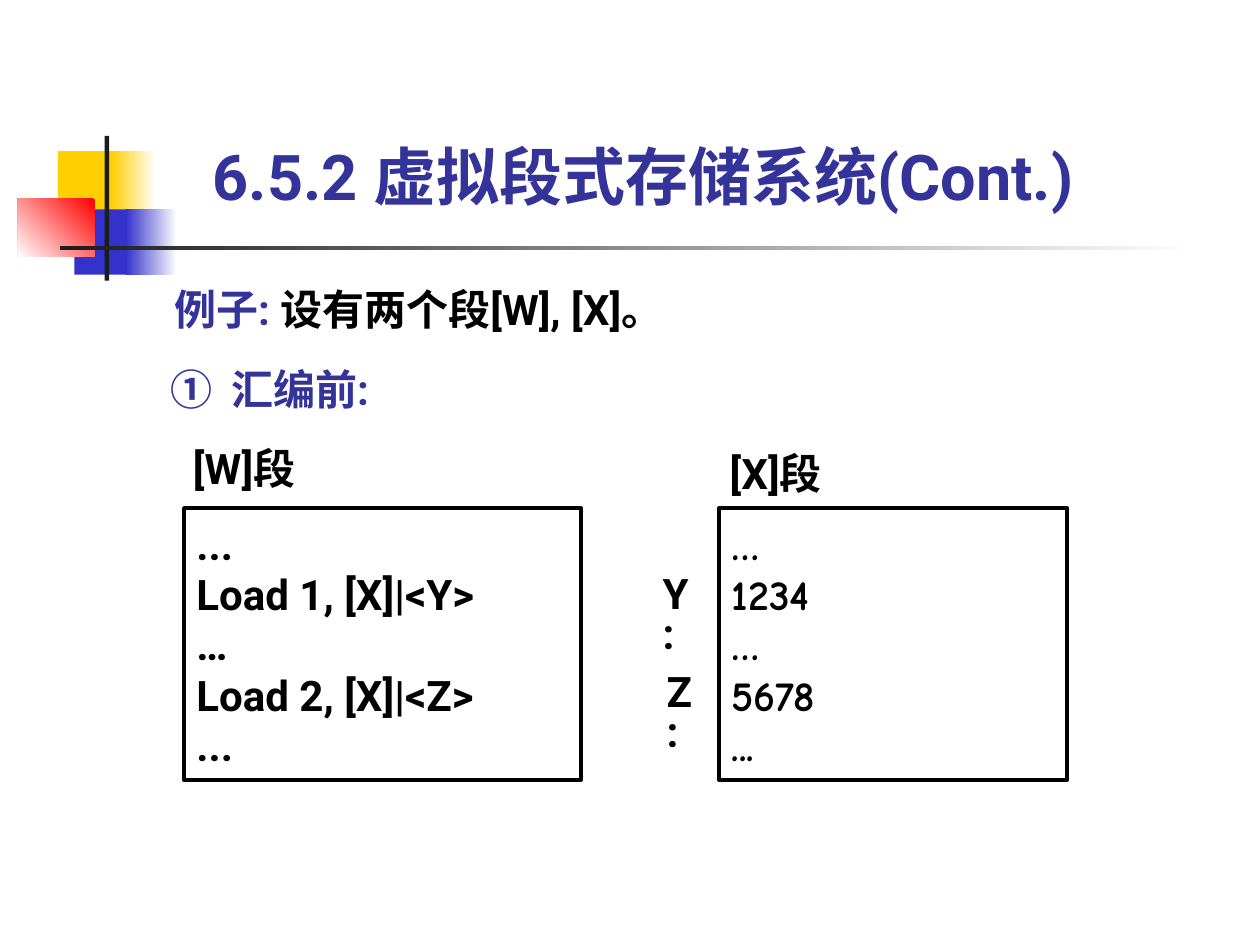
from lxml.etree import SubElement
from pptx import Presentation
from pptx.dml.color import RGBColor
from pptx.enum.shapes import MSO_SHAPE as Shape
from pptx.enum.text import MSO_ANCHOR as Anchor, PP_ALIGN as Align
from pptx.oxml.ns import qn
from pptx.util import Cm, Pt

WHITE = RGBColor(0xFF, 0xFF, 0xFF)
BLACK = RGBColor(0x00, 0x00, 0x00)
CHARCOAL = RGBColor(0x1C, 0x1C, 0x1C)
YELLOW = RGBColor(0xFF, 0xCF, 0x01)
BLUE = RGBColor(0x33, 0x33, 0xCC)
RED = RGBColor(0xFF, 0x00, 0x00)
INDIGO = RGBColor(0x33, 0x33, 0x99)

NO_MARGINS = dict(margin_left=0, margin_top=0, margin_right=0, margin_bottom=0)

prs = Presentation()
prs.slide_width, prs.slide_height = Cm(25.4), Cm(19.05)
slide = prs.slides.add_slide(prs.slide_layouts[5])


def set_all(target, values):
    for attribute, value in values.items():
        setattr(target, attribute, value)


def write(frame, lines, frame_format, size=24, font="Roboto", spacing=None):
    """Fill a text frame; each line is a list of (text, colour) runs."""
    set_all(frame, frame_format)
    for number, runs in enumerate(lines):
        paragraph = frame.add_paragraph() if number else frame.paragraphs[0]
        set_all(paragraph, dict(alignment=Align.LEFT, line_spacing=spacing))
        for text, colour in runs:
            run = paragraph.add_run()
            run.text = text
            set_all(run.font, dict(size=Pt(size), name=font, bold=True))
            run.font.color.rgb = colour


# Corner ornament: position, start colour, end colour, gradient angle
ornament = [
    ((1.17, 3.05, 1.22, 1.32), YELLOW, None, None),
    ((2.24, 3.05, 0.91, 1.32), WHITE, YELLOW, 180),
    ((1.5, 4.22, 1.17, 1.32), BLUE, None, None),
    ((2.54, 4.22, 1.02, 1.32), WHITE, BLUE, 180),
    ((0.36, 4.01, 1.55, 1.17), RED, WHITE, 225),
    ((2.11, 2.74, 0.09, 2.92), CHARCOAL, None, None),
    ((1.22, 4.95, 22.86, 0.09), WHITE, CHARCOAL, 180),
]
for place, start, end, angle in ornament:
    patch = slide.shapes.add_shape(Shape.RECTANGLE, *map(Cm, place))
    patch.shadow.inherit = False
    patch.line.fill.background()
    if end is None:
        patch.fill.solid()
        patch.fill.fore_color.rgb = start
    else:
        patch.fill.gradient()
        patch.fill.gradient_angle = angle
        for stop, colour, position in zip(patch.fill.gradient_stops, (start, end), (0, 1)):
            set_all(stop, dict(position=position))
            stop.color.rgb = colour

# Title
title = slide.shapes.title
set_all(title, dict(left=Cm(4.29), top=Cm(1.24), width=Cm(18.31), height=Cm(3.05)))
write(title.text_frame, [[("6.5.2 虚拟段式存储系统(Cont.)", INDIGO)]],
      dict(NO_MARGINS, vertical_anchor=Anchor.BOTTOM, word_wrap=True), size=36)

# Example, step heading, segment names and address labels
captions = [
    ((3.51, 5.72, 13.21, 1.02), [("例子: ", INDIGO), ("设有两个段[W], [X]。", BLACK)], True, None),
    ((3.43, 7.32, 4.24, 1.02), [("①\t汇编前:", INDIGO)], False, None),
    ((3.89, 8.92, 3, 1.02), [("[W]段", BLACK)], True, None),
    ((14.71, 9.02, 3.2, 1.02), [("[X]段", BLACK)], True, None),
    ((13.36, 11.63, 0.76, 0.81), [("Y:", BLACK)], False, 0.8),
    ((13.44, 13.61, 0.74, 0.81), [("Z:", BLACK)], True, 0.8),
]
for place, runs, wrap, spacing in captions:
    caption = slide.shapes.add_textbox(*map(Cm, place))
    if "\t" in runs[0][0]:
        tabs = SubElement(caption.text_frame.paragraphs[0]._p.get_or_add_pPr(), qn("a:tabLst"))
        SubElement(tabs, qn("a:tab"), pos=str(Cm(1.23)), algn="l")
    write(caption.text_frame, [runs], dict(NO_MARGINS, word_wrap=wrap), spacing=spacing)

# Segment contents
segments = [
    (3.71, 8, "Roboto", ["...", "Load 1, [X]|<Y>", "…", "Load 2, [X]|<Z>", "..."]),
    (14.5, 7.01, "Comic Neue", ["…", "1234", "…", "5678", "..."]),
]
for left, width, font, words in segments:
    segment = slide.shapes.add_shape(Shape.RECTANGLE, Cm(left), Cm(10.24), Cm(width), Cm(5.49))
    segment.shadow.inherit = False
    segment.fill.background()
    segment.line.color.rgb = BLACK
    segment.line.width = Pt(2)
    write(segment.text_frame, [[(word, BLACK)] for word in words],
          dict(vertical_anchor=Anchor.MIDDLE, word_wrap=False), font=font)

prs.save("out.pptx")
